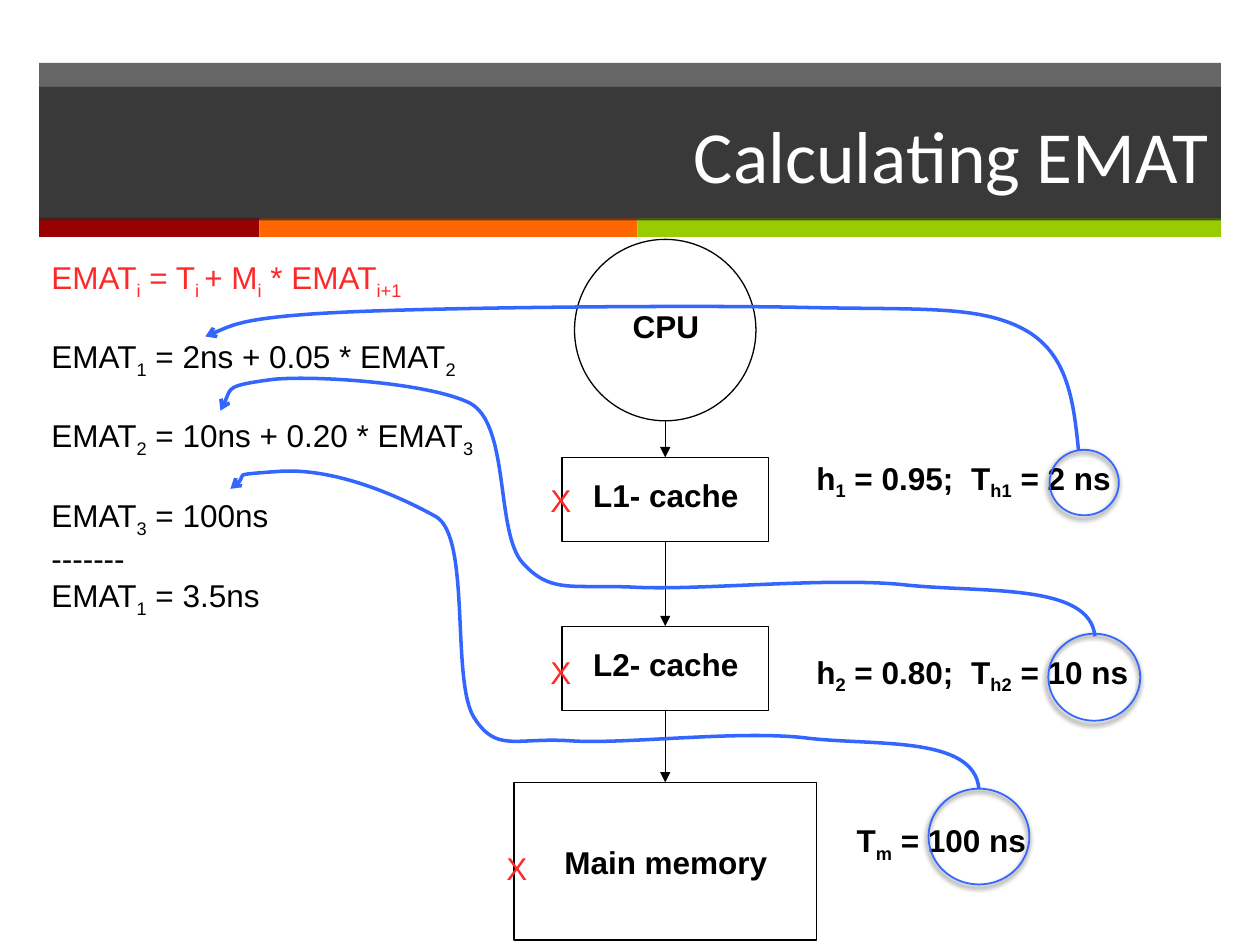
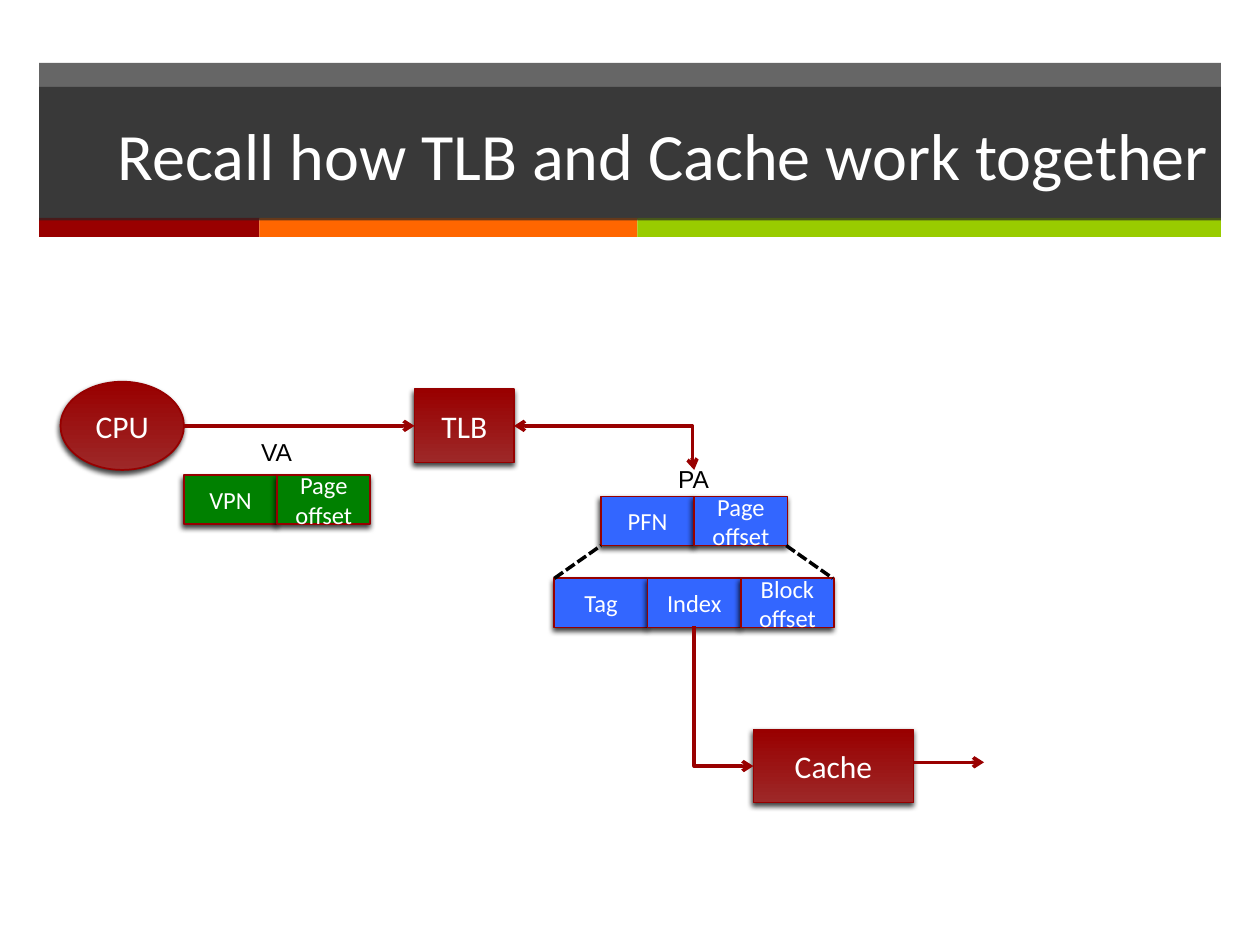
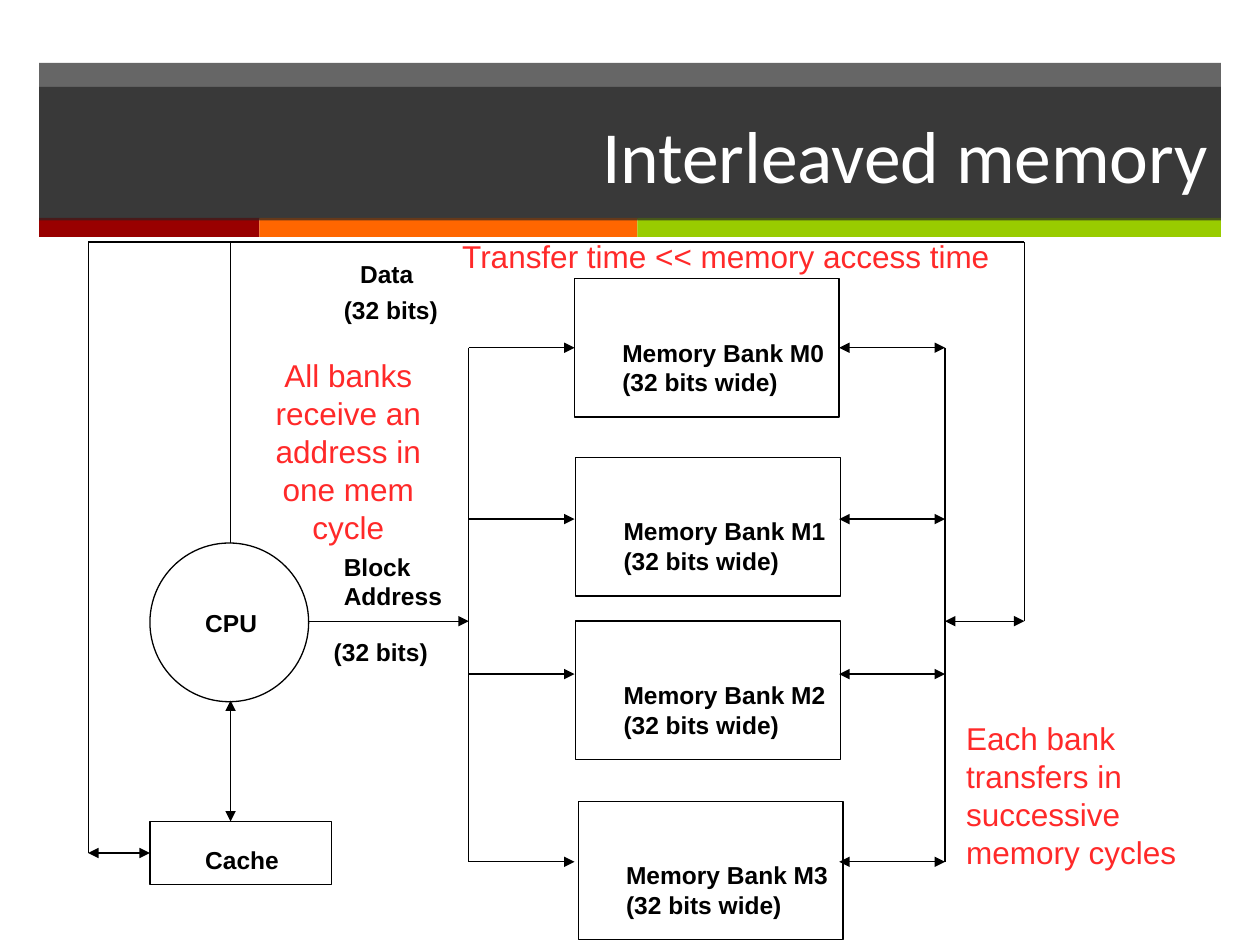
from dataclasses import dataclass

from lxml import etree
from pptx import Presentation
from pptx.dml.color import RGBColor
from pptx.enum.dml import MSO_LINE
from pptx.enum.shapes import MSO_CONNECTOR, MSO_SHAPE
from pptx.enum.text import MSO_ANCHOR, MSO_AUTO_SIZE, PP_ALIGN
from pptx.oxml.ns import qn
from pptx.util import Pt

PX = 9144  # EMU in one px, 100 px to the inch
LEFT, CENTER, RIGHT = PP_ALIGN.LEFT, PP_ALIGN.CENTER, PP_ALIGN.RIGHT
MIDDLE, NO_FIT = MSO_ANCHOR.MIDDLE, MSO_AUTO_SIZE.NONE
RECT, OVAL = MSO_SHAPE.RECTANGLE, MSO_SHAPE.OVAL
STRAIGHT, ELBOW = MSO_CONNECTOR.STRAIGHT, MSO_CONNECTOR.ELBOW
SHORT_DASH = MSO_LINE.SQUARE_DOT
TOP_SIDE, LEFT_SIDE, BOTTOM_SIDE, RIGHT_SIDE = range(4)
TITLE_ONLY = 5


@dataclass(frozen=True)
class Theme:
    title_face: str = "Calibri"
    body_face: str = "Arial"
    title: float = 42
    long_title: float = 37.8
    text: int = 18
    small: int = 14
    thin: float = 0.75
    edge: int = 1
    thick: int = 2
    black: str = "000000"
    white: str = "FFFFFF"
    band: str = "262626"
    maroon: str = "990000"
    maroon_light: str = "9D2828"
    maroon_edge: str = "960000"
    orange: str = "FF6600"
    lime: str = "99CC00"
    red: str = "FF2929"
    blue: str = "3366FF"
    green: str = "008000"


THEME = Theme()

# ---- Content: shared bands ----
BAND = (31, 50, 938, 124)
TITLE_BOX = (31, 69, 938, 106)
STRIPE_TOP, STRIPE_HEIGHT = 173, 15
STRIPES = [(175, THEME.maroon), (300, THEME.orange), (463, THEME.lime)]

# ---- Content: EMAT slide; text between bars is subscript ----
EMAT_TITLE = "Calculating EMAT"
EMAT_BOX = (31, 200, 396, 313)
BLANK_LINE = 20.7
EQUATIONS = [  # text, space before, colour
    ("EMAT|i| = T|i |+ M|i| * EMAT|i+1", 0, THEME.red),
    ("EMAT|1| = 2ns + 0.05 * EMAT|2", BLANK_LINE, THEME.black),
    ("EMAT|2| = 10ns + 0.20 * EMAT|3", BLANK_LINE, THEME.black),
    ("EMAT|3| = 100ns", BLANK_LINE, THEME.black),
    ("-------", 0, THEME.black),
    ("EMAT|1| = 3.5ns", 0, THEME.black),
]
HIERARCHY_AXIS = 528
HIERARCHY = [  # name, shape, top, width, height, label top, label width
    ("CPU", OVAL, 190, 144, 144, 239, 73),
    ("L1- cache", RECT, 363, 164, 67, 373, 137),
    ("L2- cache", RECT, 497, 164, 67, 507, 137),
    ("Main memory", RECT, 621, 240, 125, 664, 183),
]
TIMINGS = [
    ("h|1| = 0.95;\tT|h1| = 2 ns", (638, 359, 302, 38)),
    ("h|2| = 0.80;\tT|h2| = 10 ns", (638, 513, 302, 38)),
    ("T|m| = 100 ns", (670, 647, 198, 38)),
]
TIMING_TAB = 123
MISSES = [(427, 377), (427, 513), (392, 669)]
RINGS = [(833, 357, 55, 52), (832, 503, 73, 69), (737, 626, 80, 76)]
CURVES = [  # start point, then Bezier points in threes
    [(856, 357), (852, 319), (848, 280), (812, 261), (776, 242), (729, 246), (638, 244),
     (547, 242), (347, 244), (268, 248), (189, 252), (163, 267), (163, 267)],
    [(869, 505), (865, 462), (778, 471), (716, 464), (655, 458), (553, 469), (502, 466),
     (452, 464), (437, 471), (415, 447), (393, 423), (405, 337), (373, 320),
     (341, 304), (252, 298), (218, 301), (179, 306), (184, 309), (175, 326)],
    [(777, 626), (773, 584), (696, 592), (642, 586), (588, 579), (497, 591), (453, 588),
     (409, 585), (394, 598), (376, 569), (358, 539), (374, 426), (346, 410),
     (317, 394), (268, 372), (224, 374), (181, 377), (201, 376), (183, 388)],
]

# ---- Content: TLB slide ----
TLB_TITLE = "Recall how TLB and Cache work together"
UNITS = {
    "CPU": (OVAL, (48, 303, 98, 70)),
    "TLB": (RECT, (329, 309, 79, 58)),
    "Cache": (RECT, (598, 579, 127, 58)),
}
CELL_WIDTH, CELL_HEIGHT = 74, 39
ADDRESSES = [  # left, top, fill, fields
    (146, 377, THEME.green, ["VPN", "Page offset"]),
    (477, 394, THEME.blue, ["PFN", "Page offset"]),
    (440, 459, THEME.blue, ["Tag", "Index", "Block offset"]),
]
ADDRESS_NAMES = [("PA", 516, 363), ("VA", 185, 342)]
SPLIT_LINES = [(624, 433, 661, 459), (440, 459, 477, 433)]

# ---- Content: interleaved memory slide ----
MEMORY_TITLE = "Interleaved memory"
BANKS = [(456, 221), (457, 363), (457, 493), (459, 636)]
BANK_SIZE = (210, 110)
BANK_ARROW_TOPS = [276, 412, 535, 684]
ADDRESS_BUS, DATA_BUS, BANK_LEFT, BANK_RIGHT = 372, 750, 456, 666
PROCESSOR = (119, 431, 126, 126)
CACHE = (119, 652, 144, 50)
MEMORY_LABELS = [
    (["CPU"], (153, 478, 62, 34)),
    (["Cache"], (153, 666, 79, 34)),
    (["Block", "Address"], (263, 433, 108, 57)),
    (["(32 bits)"], (255, 501, 95, 34)),
    (["Data"], (276, 201, 64, 34)),
    (["(32 bits)"], (263, 229, 95, 34)),
]
WIRES = [  # x1, y1, x2, y2, arrow at start, arrow at end
    (ADDRESS_BUS, 276, ADDRESS_BUS, 684, None, None),
    (DATA_BUS, 276, DATA_BUS, 684, None, None),
    (245, 493, ADDRESS_BUS, 493, None, "triangle"),
    (183, 431, 183, 192, None, None),
    (70, 192, 813, 192, None, None),
    (813, 192, 813, 493, None, None),
    (813, 493, DATA_BUS, 493, "triangle", "triangle"),
    (70, 192, 70, 677, None, None),
    (183, 556, 183, 652, "triangle", "triangle"),
]
REMARKS = [
    ("All banks receive an address in one mem cycle", (198, 278, 157, 162), CENTER),
    ("Each bank transfers in successive memory cycles", (757, 566, 189, 131), LEFT),
    ("Transfer time << memory access time", (357, 183, 441, 40), LEFT),
]


# ---- Helpers ----
def color(code):
    return RGBColor.from_string(code)


def emu(lengths):
    return [length * PX for length in lengths]


def child(parent, tag, **attributes):
    return etree.SubElement(parent, qn(tag), attributes)


def fill_translucent(shape):
    shape.fill.solid()
    shape.fill.fore_color.rgb = color(THEME.band)
    tint = shape.element.spPr.find(qn("a:solidFill"))[0]
    child(tint, "a:alpha", val="70000")


def style_line(shape, line_color, width, head=None, tail=None, dash=None):
    shape.line.color.rgb = color(line_color)
    shape.line.width = Pt(width)
    if dash:
        shape.line.dash_style = dash
    outline = shape.element.spPr.find(qn("a:ln"))
    for tag, kind in (("a:headEnd", head), ("a:tailEnd", tail)):
        if kind:
            child(outline, tag, type=kind)


def add_shape(page, kind, place, fill=None, line=None, width=THEME.thin, shadow=False):
    shape = page.shapes.add_shape(kind, *emu(place))
    if fill is None:
        shape.fill.background()
    elif isinstance(fill, tuple):
        shape.fill.gradient()
        shape.fill.gradient_angle = 90
        for stop, code in zip(shape.fill.gradient_stops, fill):
            stop.color.rgb = color(code)
    else:
        shape.fill.solid()
        shape.fill.fore_color.rgb = color(fill)
    if line:
        style_line(shape, line, width)
    else:
        shape.line.fill.background()
    shape.shadow.inherit = False
    if shadow:
        effects = shape.element.spPr.find(qn("a:effectLst"))
        cast = child(effects, "a:outerShdw", blurRad=str(Pt(3)), dist=str(Pt(2)),
                     dir=str(110 * 60000), rotWithShape="0")
        child(child(cast, "a:srgbClr", val=THEME.black), "a:alpha", val="75000")
    return shape


def write(para, text, size, code, face=THEME.body_face, bold=False, align=LEFT):
    para.alignment = align
    para.font.size = Pt(size)
    para.font.name = face
    para.font.bold = bold
    para.font.color.rgb = color(code)
    for index, part in enumerate(text.split("|")):
        span = para.add_run()
        span.text = part
        if index % 2:
            span.font._element.set("baseline", "-25000")


def add_text(page, texts, place, size, code=THEME.black, bold=False, align=LEFT, wrap=True):
    frame = page.shapes.add_textbox(*emu(place)).text_frame
    frame.word_wrap = wrap
    for index, text in enumerate(texts):
        para = frame.add_paragraph() if index else frame.paragraphs[0]
        write(para, text, size, code, bold=bold, align=align)
    return frame


def label_shape(shape, text, size):
    frame = shape.text_frame
    frame.word_wrap = True
    frame.vertical_anchor = MIDDLE
    write(frame.paragraphs[0], text, size, THEME.white, THEME.title_face, align=CENTER)


def add_line(page, ends, code=THEME.black, width=THEME.thin, head=None, tail=None,
             dash=None, begin=None, end=None, bend=None):
    kind = STRAIGHT if bend is None else ELBOW
    line = page.shapes.add_connector(kind, *emu(ends))
    if begin:
        line.begin_connect(*begin)
    if end:
        line.end_connect(*end)
    style_line(line, code, width, head, tail, dash)
    properties = line.element.spPr
    child(properties, "a:effectLst")
    if bend is not None:
        guides = properties.find(qn("a:prstGeom")).find(qn("a:avLst"))
        child(guides, "a:gd", name="adj1", fmla=f"val {bend}")


def add_curve(page, points):
    builder = page.shapes.build_freeform(*points[0], scale=PX)
    builder.add_line_segments(points[1:], close=False)
    curve = builder.convert_to_shape()
    outline = next(curve.element.iter(qn("a:path")))
    corners = outline.findall(qn("a:lnTo"))
    for first in range(0, len(corners), 3):
        bezier = child(outline, "a:cubicBezTo")
        for corner in corners[first:first + 3]:
            bezier.append(corner[0])
            outline.remove(corner)
    curve.fill.background()
    curve.shadow.inherit = False
    style_line(curve, THEME.blue, THEME.thick, tail="arrow")


def add_page(deck, title, size=THEME.title):
    page = deck.slides.add_slide(deck.slide_layouts[TITLE_ONLY])
    box = page.shapes.title
    box.left, box.top, box.width, box.height = emu(TITLE_BOX)
    fill_translucent(box)
    frame = box.text_frame
    frame.auto_size = NO_FIT
    frame.vertical_anchor = MIDDLE
    write(frame.paragraphs[0], title, size, THEME.white, THEME.title_face, align=RIGHT)
    return page


def move_bands_to_layout(page):
    band = add_shape(page, RECT, BAND, THEME.band)
    fill_translucent(band)
    bands, left = [band], BAND[0]
    for width, code in STRIPES:
        place = (left, STRIPE_TOP, width, STRIPE_HEIGHT)
        bands.append(add_shape(page, RECT, place, code))
        left += width
    tree = page.slide_layout.shapes.element
    for index, shape in enumerate(bands):
        shape.element.nvSpPr.cNvPr.set("id", str(20 + index))
        tree.insert(2 + index, shape.element)


# ---- Slides ----
def build_emat(page):
    levels = []
    for name, kind, top, width, height, label_top, label_width in HIERARCHY:
        place = (HIERARCHY_AXIS - width // 2, top, width, height)
        levels.append(add_shape(page, kind, place, line=THEME.black))
        label = (HIERARCHY_AXIS - label_width // 2, label_top, label_width, 40)
        add_text(page, [name], label, THEME.text, bold=True, align=CENTER, wrap=False)
    for index in range(len(levels) - 1):
        upper, lower = HIERARCHY[index], HIERARCHY[index + 1]
        ends = (HIERARCHY_AXIS, upper[2] + upper[4], HIERARCHY_AXIS, lower[2])
        begin = (levels[index], BOTTOM_SIDE) if upper[1] == RECT else None
        add_line(page, ends, tail="triangle", begin=begin, end=(levels[index + 1], TOP_SIDE))

    for text, place in TIMINGS:
        box = page.shapes.add_textbox(*emu(place))
        box.text_frame.word_wrap = True
        para = box.text_frame.paragraphs[0]
        if "\t" in text:
            stops = child(para._p.get_or_add_pPr(), "a:tabLst")
            child(stops, "a:tab", pos=str(TIMING_TAB * PX), algn="l")
        write(para, text, THEME.text, THEME.black, bold=True)

    frame = add_text(page, [row[0] for row in EQUATIONS], EMAT_BOX, THEME.text)
    for para, (_, space, code) in zip(frame.paragraphs, EQUATIONS):
        para.font.color.rgb = color(code)
        if space:
            para.space_before = Pt(space)

    for left, top in MISSES:
        add_text(page, ["X"], (left, top, 34, 40), THEME.text, THEME.red, align=CENTER)
    for ring in RINGS:
        add_shape(page, OVAL, ring, line=THEME.blue, width=THEME.edge, shadow=True)
    for points in CURVES:
        add_curve(page, points)


def build_tlb(page):
    units = {}
    for name, (kind, place) in UNITS.items():
        units[name] = add_shape(page, kind, place, (THEME.maroon_light, THEME.maroon),
                                THEME.maroon_edge, THEME.edge, shadow=True)
        label_shape(units[name], name, THEME.text)
    for name, left, top in ADDRESS_NAMES:
        add_text(page, [name], (left, top, 69, 34), THEME.small, align=CENTER)
    for left, top, fill, fields in ADDRESSES:
        for index, field in enumerate(fields):
            place = (left + index * CELL_WIDTH, top, CELL_WIDTH, CELL_HEIGHT)
            cell = add_shape(page, RECT, place, fill, THEME.maroon_edge, THEME.edge, shadow=True)
            label_shape(cell, field, THEME.small)

    for ends in SPLIT_LINES:
        add_line(page, ends, width=THEME.thick, dash=SHORT_DASH)
    flow = {"code": THEME.maroon, "width": THEME.thick, "tail": "arrow"}
    add_line(page, (146, 338, 329, 338), end=(units["TLB"], LEFT_SIDE), **flow)
    add_line(page, (725, 605, 781, 605), **flow)
    add_line(page, (408, 338, 551, 373), head="arrow", bend=99000, **flow)
    add_line(page, (551, 497, 598, 608), bend=0, **flow)


def build_memory(page):
    add_shape(page, OVAL, PROCESSOR, line=THEME.black)
    cache = add_shape(page, RECT, CACHE, line=THEME.black)
    for number, ((left, top), middle) in enumerate(zip(BANKS, BANK_ARROW_TOPS)):
        bank = add_shape(page, RECT, (left, top, *BANK_SIZE), line=THEME.black)
        add_text(page, [f"Memory Bank M{number}", "(32 bits wide)"],
                 (left + 28, top + 42, 182, 57), THEME.small, bold=True, wrap=False)
        centred = middle == top + BANK_SIZE[1] // 2
        add_line(page, (ADDRESS_BUS, middle, BANK_LEFT, middle), tail="triangle",
                 end=(bank, LEFT_SIDE) if centred else None)
        add_line(page, (DATA_BUS, middle, BANK_RIGHT, middle), head="triangle",
                 tail="triangle", end=(bank, RIGHT_SIDE) if centred else None)
    for *ends, head, tail in WIRES:
        add_line(page, ends, head=head, tail=tail)
    add_line(page, (70, 677, 119, 677), head="triangle", tail="triangle",
             end=(cache, LEFT_SIDE))
    for texts, place in MEMORY_LABELS:
        add_text(page, texts, place, THEME.small, bold=True, wrap=False)
    for text, place, align in REMARKS:
        add_text(page, [text], place, THEME.text, THEME.red, align=align)


def main():
    deck = Presentation()
    deck.slide_width, deck.slide_height = emu((1000, 750))
    emat_page = add_page(deck, EMAT_TITLE)
    move_bands_to_layout(emat_page)
    build_emat(emat_page)
    build_tlb(add_page(deck, TLB_TITLE, THEME.long_title))
    build_memory(add_page(deck, MEMORY_TITLE))
    deck.save("out.pptx")


if __name__ == "__main__":
    main()
